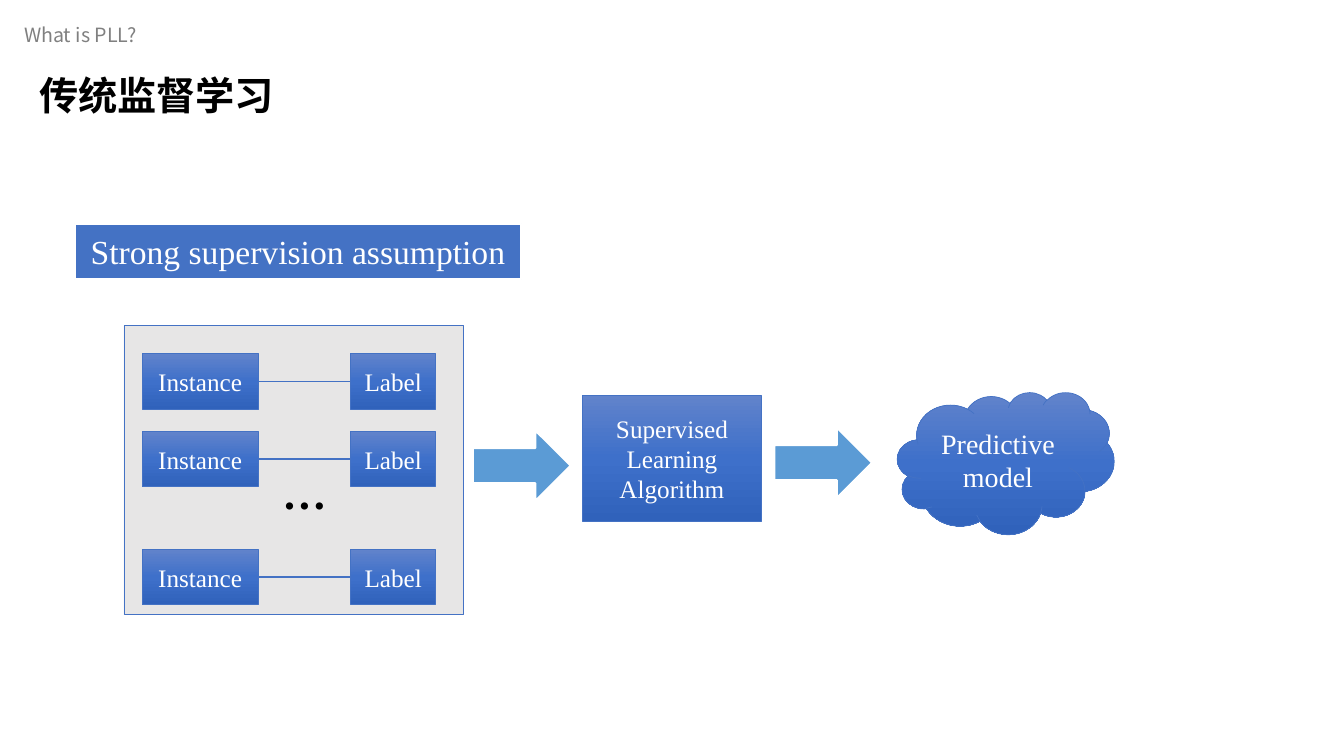
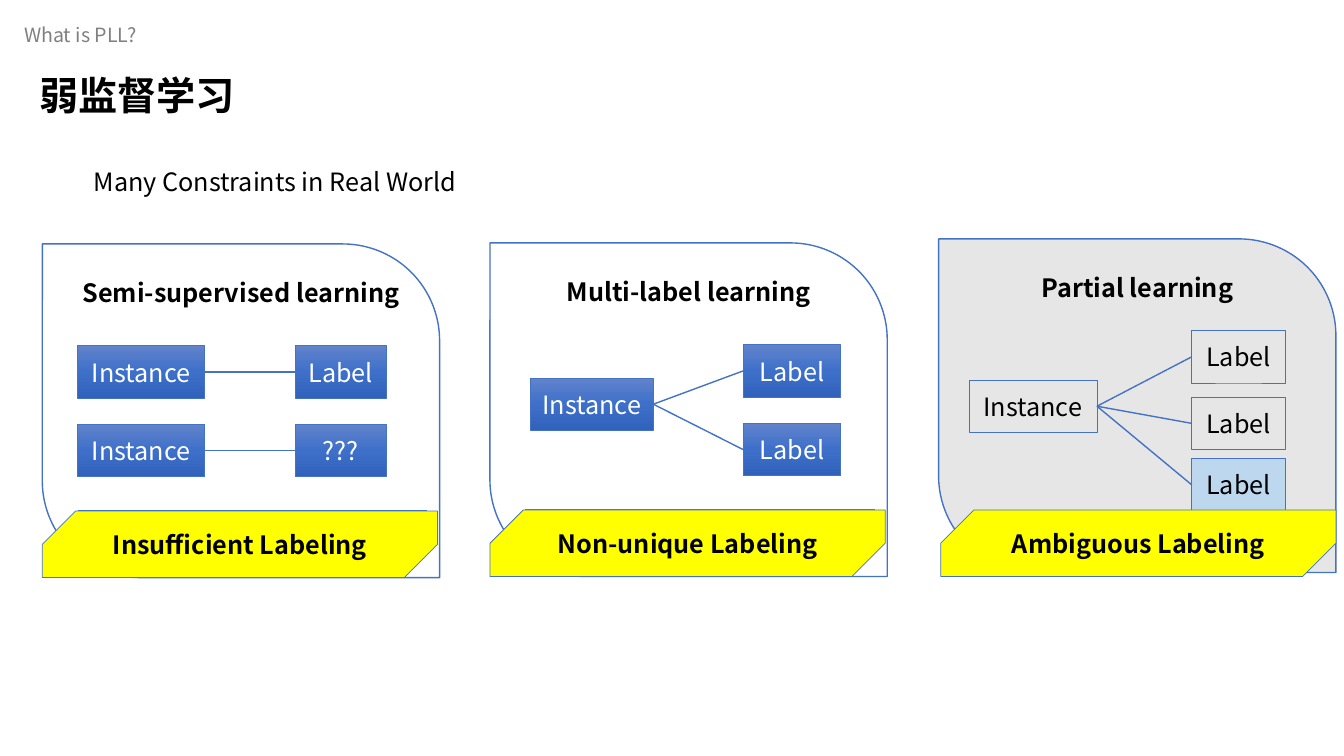
import copy

import pptx
import pptx.dml.color
import pptx.enum.shapes
import pptx.enum.text
import pptx.oxml
import pptx.oxml.ns
import pptx.util

PX = 9144
RGB = pptx.dml.color.RGBColor
WHITE = RGB(0xFF, 0xFF, 0xFF)
BLACK = RGB(0x00, 0x00, 0x00)
GRAY = RGB(0x80, 0x80, 0x80)
PALE = RGB(0xE7, 0xE6, 0xE6)
BLUE = RGB(0x44, 0x72, 0xC4)
SKY = RGB(0x5B, 0x9B, 0xD5)
ICE = RGB(0xBD, 0xD7, 0xEE)
YELLOW = RGB(0xFF, 0xFF, 0x00)
GLOSS = {
    0: RGB(0x61, 0x83, 0xCB),
    0.5: RGB(0x3E, 0x70, 0xCA),
    1: RGB(0x30, 0x62, 0xBB),
}

SHAPE = pptx.enum.shapes.MSO_SHAPE
ANCHOR = pptx.enum.text.MSO_ANCHOR
ALIGN = pptx.enum.text.PP_ALIGN
TOP, LEFT, BOTTOM, RIGHT = range(4)
SANS = "Noto Sans CJK SC"
SERIF = "Times New Roman"


def px(*lengths):
    """Turn px lengths into EMU."""
    return [pptx.util.Emu(length * PX) for length in lengths]


def font_format(name, size, color, bold=False):
    """Return the format values of a run of text."""
    return {"name": name, "size": pptx.util.Pt(size), "bold": bold, "color": color}


TITLE = font_format(SANS, 28, BLACK, True)
TOPIC = font_format(SANS, 14, GRAY)
BODY = font_format(SANS, 18, BLACK)
BODY_LIGHT = font_format(SANS, 18, WHITE)
HEADING = font_format(SANS, 18, BLACK, True)
ELLIPSIS = font_format(SANS, 32, BLACK, True)
NODE = font_format(SERIF, 18, WHITE)
OUTCOME = font_format(SERIF, 20, WHITE)
BANNER = font_format(SERIF, 24, WHITE)


def write(shape, text, style, align, anchor):
    """Put one formatted paragraph into a shape."""
    frame = shape.text_frame
    frame.word_wrap = True
    frame.vertical_anchor = anchor
    paragraph = frame.paragraphs[0]
    paragraph.alignment = align
    run = paragraph.add_run()
    run.text = text
    for key, value in style.items():
        if key == "color":
            run.font.color.rgb = value
        else:
            setattr(run.font, key, value)
    for properties in shape.element.iter(pptx.oxml.ns.qn("a:rPr")):
        east_asian = pptx.oxml.parse_xml(
            f'<a:ea {pptx.oxml.ns.nsdecls("a")} typeface="{style["name"]}"/>'
        )
        properties.append(east_asian)


def add_text(slide, box, text, style, align=ALIGN.LEFT):
    """Add a text box that grows with its text."""
    label = slide.shapes.add_textbox(*px(*box))
    write(label, text, style, align, ANCHOR.TOP)
    label.text_frame.auto_size = pptx.enum.text.MSO_AUTO_SIZE.SHAPE_TO_FIT_TEXT


def paint(shape, fill):
    """Fill a shape with a plain colour or with the gloss gradient."""
    if isinstance(fill, RGB):
        shape.fill.solid()
        shape.fill.fore_color.rgb = fill
        return
    shape.fill.gradient()
    shape.fill.gradient_angle = 270
    stops = next(shape.element.iter(pptx.oxml.ns.qn("a:gsLst")))
    stops.append(copy.deepcopy(stops[0]))
    for stop, (position, color) in zip(shape.fill.gradient_stops, fill.items()):
        stop.position = position
        stop.color.rgb = color


def add_box(slide, box, text="", style=NODE, fill=GLOSS, kind=SHAPE.RECTANGLE,
            line=(BLUE, 0.5), adjustments=(), anchor=ANCHOR.MIDDLE):
    """Add a filled, outlined preset shape with centred text."""
    shape = slide.shapes.add_shape(kind, *px(*box))
    shape.shadow.inherit = False
    for index, value in enumerate(adjustments):
        shape.adjustments[index] = value
    paint(shape, fill)
    shape.line.color.rgb = line[0]
    shape.line.width = pptx.util.Pt(line[1])
    if text:
        write(shape, text, style, ALIGN.CENTER, anchor)
    return shape


def add_line(slide, ends=(0, 0, 0, 0)):
    """Add a thin blue line without shadow."""
    line = slide.shapes.add_connector(
        pptx.enum.shapes.MSO_CONNECTOR.STRAIGHT, *px(*ends))
    line.line.color.rgb = BLUE
    line.line.width = pptx.util.Pt(1)
    line.element.spPr.append(
        pptx.oxml.parse_xml(f'<a:effectLst {pptx.oxml.ns.nsdecls("a")}/>'))
    return line


def link(slide, instance, label):
    """Join an instance to a label on its right."""
    line = add_line(slide)
    line.begin_connect(instance, RIGHT)
    line.end_connect(label, LEFT)


def add_slide(deck, title):
    """Add a blank slide with the shared title and topic."""
    slide = deck.slides.add_slide(deck.slide_layouts[6])
    add_text(slide, (29, 66, 992, 57), title, TITLE)
    add_text(slide, (14, 18, 747, 34), "What is PLL?", TOPIC)
    return slide


def add_training_set(slide, left, top):
    """Draw the set of instance and label pairs."""
    add_box(slide, (left, top, 337, 287), fill=PALE)
    for row in (28, 105, 222):
        instance = add_box(slide, (left + 18, top + row, 115, 55), "Instance")
        label = add_box(slide, (left + 225, top + row, 84, 55), "Label")
        link(slide, instance, label)
    add_text(slide, (left + 110, top + 147, 139, 67), "…", ELLIPSIS, ALIGN.CENTER)


def supervised_slide(deck):
    """Build the slide on traditional supervised learning."""
    slide = add_slide(deck, "传统监督学习")
    add_box(slide, (74, 222, 443, 55), "Strong supervision assumption", BANNER,
            BLUE, line=(WHITE, 1.5))
    add_training_set(slide, 123, 323)
    add_box(slide, (578, 392, 177, 125), "Supervised Learning Algorithm")
    add_box(slide, (890, 389, 215, 141), "Predictive model", OUTCOME, kind=SHAPE.CLOUD)
    for left, top in ((469, 427), (768, 424)):
        add_box(slide, (left, top, 97, 70), fill=SKY, kind=SHAPE.RIGHT_ARROW,
                line=(WHITE, 1.5))


def add_panel(slide, left, top, heading, band_text, band_at, instances, labels,
              links, fill=WHITE, node_fill=GLOSS, node_style=BODY_LIGHT, rule=True):
    """Draw one kind of weak supervision in a panel."""
    add_box(slide, (left, top, 394, 331), heading, HEADING, fill,
            SHAPE.ROUND_2_DIAG_RECTANGLE, (BLUE, 1), (0, 0.29), ANCHOR.TOP)

    def add_nodes(column, nodes):
        """Draw a column of nodes."""
        x, width = column
        return [add_box(slide, (left + x, top + y, width, 52), text, node_style, paint_with)
                for y, text, paint_with in
                ((y, text, special[0] if special else node_fill)
                 for y, text, *special in nodes)]

    instance_boxes = add_nodes(*instances)
    label_boxes = add_nodes(*labels)
    for start, end in links:
        link(slide, instance_boxes[start], label_boxes[end])
    x, y = left + band_at[0], top + band_at[1]
    if rule:
        add_line(slide, (x + 35, y, x + 382, y))
    add_box(slide, (x, y, 392, 66), band_text, HEADING, YELLOW,
            SHAPE.SNIP_2_DIAG_RECTANGLE, adjustments=(0.5, 0))


def weak_slide(deck):
    """Build the slide on weakly supervised learning."""
    slide = add_slide(deck, "弱监督学习")
    add_text(slide, (83, 160, 456, 40), "Many Constraints in Real World", BODY)
    add_panel(slide, 42, 242, "Semi-supervised learning", "Insufficient Labeling", (0, 265),
              ((35, 126), [(101, "Instance"), (179, "Instance")]),
              ((251, 90), [(101, "Label"), (179, "???")]),
              [(0, 0), (1, 1)])
    add_panel(slide, 486, 241, "Multi-label learning", "Non-unique Labeling", (0, 265),
              ((40, 122), [(134, "Instance")]),
              ((251, 97), [(101, "Label"), (179, "Label")]),
              [(0, 0), (0, 1)])
    add_panel(slide, 931, 237, "Partial learning", "Ambiguous Labeling", (2, 269),
              ((30, 127), [(140, "Instance")]),
              ((251, 93), [(91, "Label"), (157, "Label"), (218, "Label", ICE)]),
              [(0, 0), (0, 1), (0, 2)],
              fill=PALE, node_fill=PALE, node_style=BODY, rule=False)


def main():
    """Build and save the deck."""
    deck = pptx.Presentation()
    deck.slide_width, deck.slide_height = px(1333, 750)
    supervised_slide(deck)
    weak_slide(deck)
    deck.save("out.pptx")


if __name__ == "__main__":
    main()
